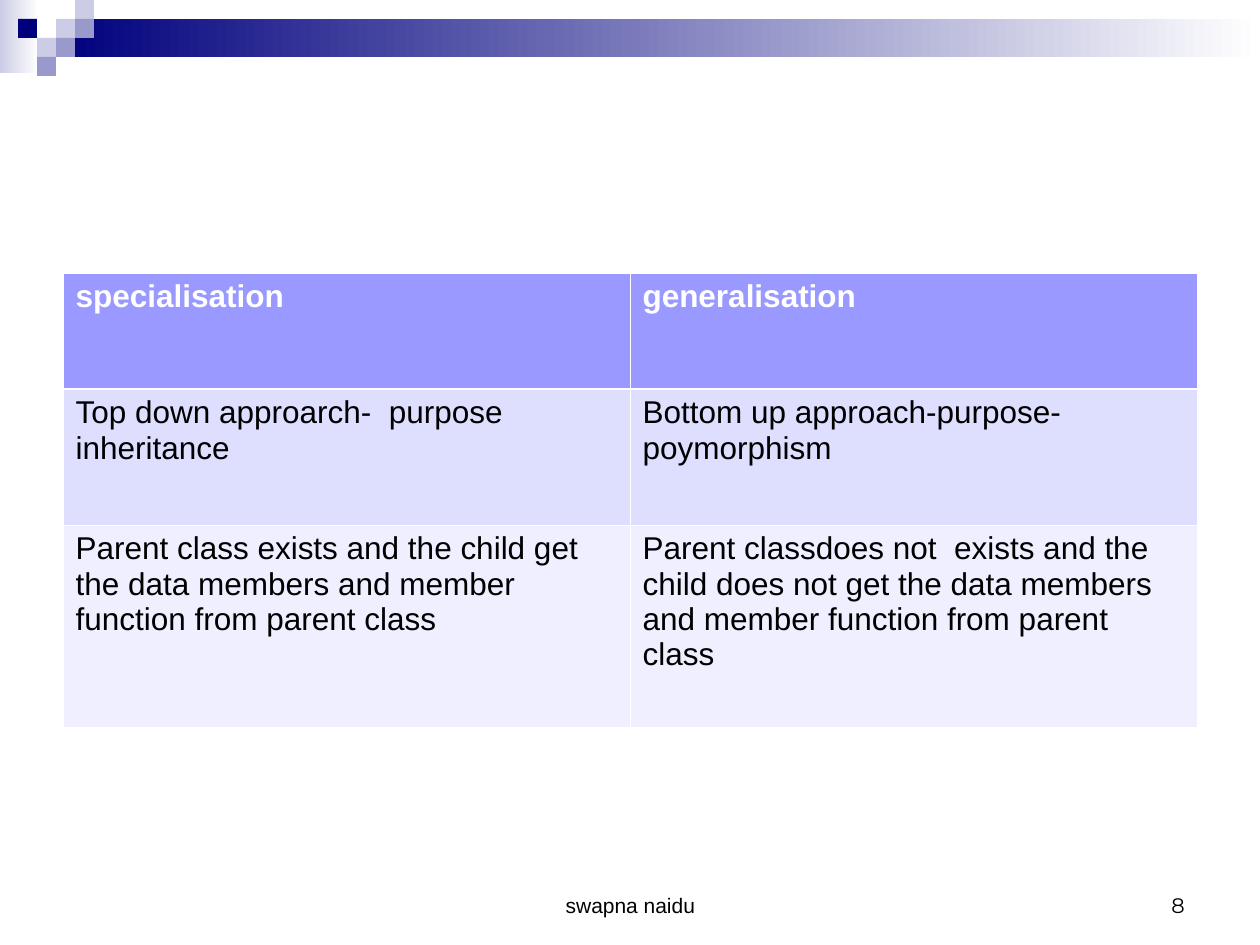
import pptx
import pptx.util
from pptx.dml.color import RGBColor
from pptx.enum.shapes import MSO_SHAPE
from pptx.enum.text import MSO_ANCHOR, PP_ALIGN
from pptx.oxml.ns import qn
from lxml import etree

PX = 914400 / 126

NAVY = RGBColor(0x00, 0x00, 0x7D)
LAVENDER = RGBColor(0xCC, 0xCC, 0xE6)
MAUVE = RGBColor(0x99, 0x99, 0xCC)
HEADER = RGBColor(0x99, 0x99, 0xFF)
BAND_DARK = RGBColor(0xDE, 0xDE, 0xFF)
BAND_LIGHT = RGBColor(0xEF, 0xEF, 0xFF)
WHITE = RGBColor(0xFF, 0xFF, 0xFF)
BLACK = RGBColor(0x00, 0x00, 0x00)

ROWS = [
    ("specialisation", "generalisation"),
    ("Top down approarch-  purpose inheritance",
     "Bottom up approach-purpose-poymorphism"),
    ("Parent class exists and the child get the data members and member "
     "function from parent class",
     "Parent classdoes not  exists and the child does not get the data "
     "members and member function from parent class"),
]
ROW_HEIGHTS = [116, 136, 202]
ROW_FILLS = [HEADER, BAND_DARK, BAND_LIGHT]


def emu(px):
    return pptx.util.Emu(round(px * PX))


def add_rect(s, x, y, w, h, color, fade=False):
    """Add a borderless rectangle, optionally fading to white on the right."""
    sp = s.shapes.add_shape(MSO_SHAPE.RECTANGLE, *map(emu, (x, y, w, h)))
    sp.shadow.inherit = False
    sp.line.fill.background()
    if fade:
        sp.fill.gradient()
        sp.fill.gradient_angle = 0
        for stop, stop_color, pos in zip(sp.fill.gradient_stops, (color, WHITE), (0, 1)):
            stop.color.rgb = stop_color
            stop.position = pos
    else:
        sp.fill.solid()
        sp.fill.fore_color.rgb = color


def add_banner(s, x, y, w):
    """Fading bars with a checker of small squares at the left."""
    unit = 19
    add_rect(s, x, y, 39, 73, LAVENDER, fade=True)
    add_rect(s, x + 3 * unit, y + unit, w - 3 * unit, 2 * unit, NAVY, fade=True)
    squares = [(3, 1, LAVENDER), (4, 0, LAVENDER), (4, 1, MAUVE), (2, 2, LAVENDER),
               (1, 1, NAVY), (3, 2, MAUVE), (2, 3, MAUVE)]
    for col, row, color in squares:
        add_rect(s, x + col * unit - 1, y + row * unit, unit, unit, color)


def set_borders(cell, top, bottom):
    """Draw white cell borders; widths in points."""
    tcPr = cell._tc.get_or_add_tcPr()
    for tag, width in (("lnL", 0.45), ("lnR", 0.45), ("lnT", top), ("lnB", bottom)):
        ln = etree.SubElement(tcPr, qn(f"a:{tag}"), w=str(pptx.util.Pt(width)))
        fill = etree.SubElement(ln, qn("a:solidFill"))
        etree.SubElement(fill, qn("a:srgbClr"), val=str(WHITE))


def add_comparison(s, x, y, w):
    """Table with a header row and two shaded rows."""
    frame = s.shapes.add_table(len(ROWS), 2, *map(emu, (x, y, w, sum(ROW_HEIGHTS))))
    table = frame.table
    for col in table.columns:
        col.width = emu(w / 2)
    for i, texts in enumerate(ROWS):
        table.rows[i].height = emu(ROW_HEIGHTS[i])
        for j, text in enumerate(texts):
            cell = table.cell(i, j)
            set_borders(cell, top=1.47 if i == 1 else 0.45, bottom=1.47 if i == 0 else 0.45)
            cell.fill.solid()
            cell.fill.fore_color.rgb = ROW_FILLS[i]
            cell.text = text
            font = cell.text_frame.paragraphs[0].font
            font.name, font.size = "Arial", pptx.util.Pt(18)
            font.bold = i == 0
            font.color.rgb = WHITE if i == 0 else BLACK


def add_footer_text(s, x, y, w, h, text, align, font_name):
    tf = s.shapes.add_textbox(*map(emu, (x, y, w, h))).text_frame
    tf.word_wrap = True
    tf.vertical_anchor = MSO_ANCHOR.BOTTOM
    p = tf.paragraphs[0]
    p.text = text
    p.alignment = align
    p.font.name, p.font.size = font_name, pptx.util.Pt(12)
    p.font.color.rgb = BLACK


def add_footer(s, x, y, w, h):
    """Centred author name and right-aligned page number."""
    add_footer_text(s, x + 368, y, 399, h, "swapna naidu", PP_ALIGN.CENTER, "Arial")
    add_footer_text(s, x + w - 294, y, 294, h, "8", PP_ALIGN.RIGHT, "Montserrat")


def main():
    prs = pptx.Presentation()
    prs.slide_width, prs.slide_height = emu(1260), emu(945)
    s = prs.slides.add_slide(prs.slide_layouts[6])
    add_banner(s, 0, 0, 1260)
    add_comparison(s, 63, 273, 1134)
    add_footer(s, 63, 861, 1134, 63)
    prs.save("out.pptx")


if __name__ == "__main__":
    main()
